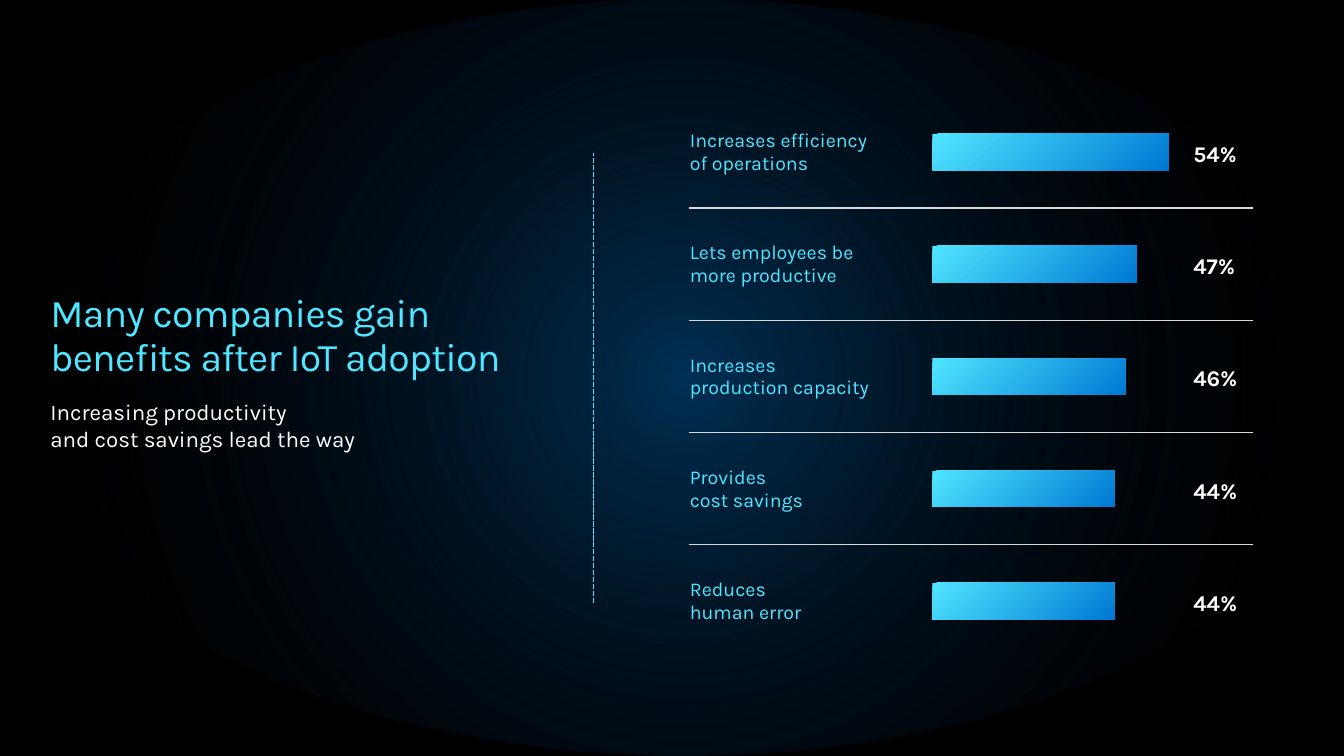
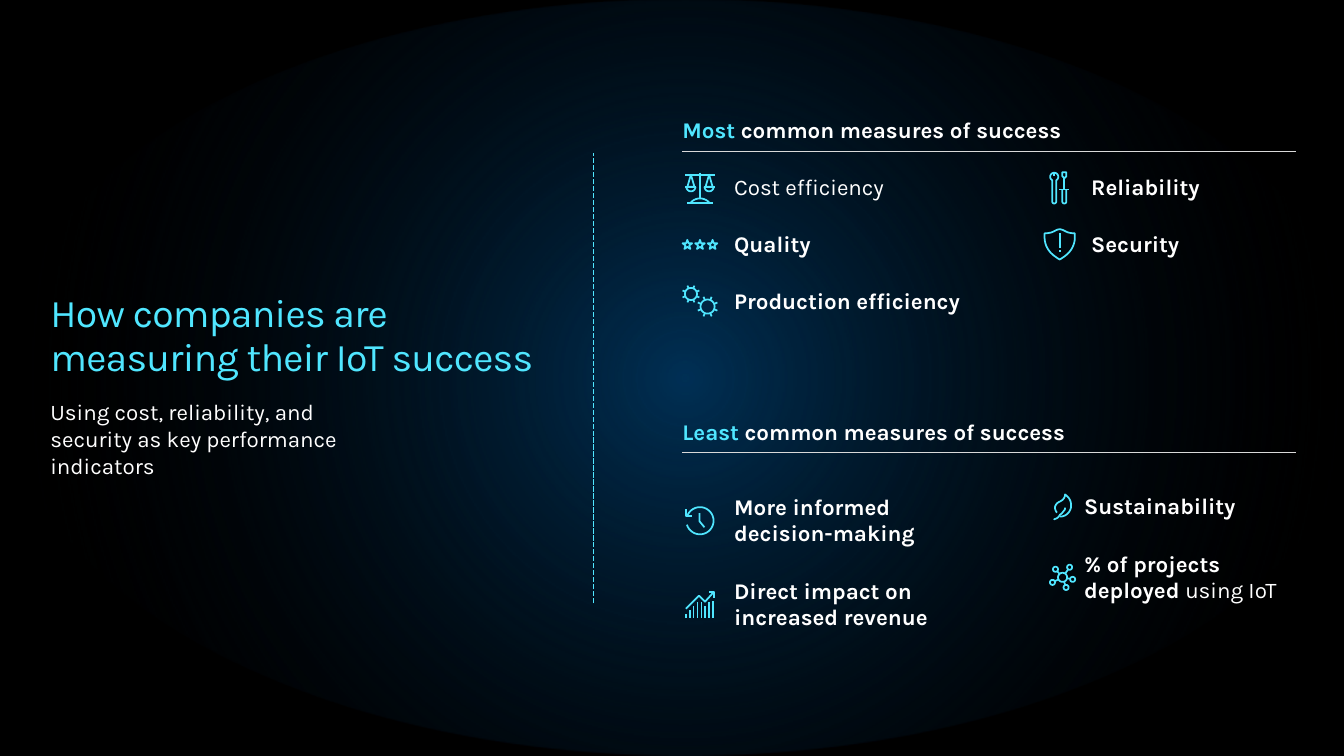
from copy import deepcopy
from math import atan2, cos, radians, sin

from lxml.etree import SubElement
from pptx import Presentation
from pptx.dml.color import RGBColor
from pptx.enum.dml import MSO_LINE
from pptx.enum.shapes import MSO_CONNECTOR, MSO_SHAPE
from pptx.enum.text import MSO_ANCHOR, MSO_AUTO_SIZE, PP_ALIGN
from pptx.oxml.ns import qn
from pptx.util import Pt

COLORS = {"black": "000000", "glow": "003C6A", "cyan": "50E6FF", "blue": "0078D3",
          "white": "FFFFFF", "rule": "D9D9D9"}
FONT = "Karla"
WIDTH, HEIGHT = 960, 540
ONE_LINE, TWO_LINES = 40.4, 60
ICON_STEPS = 100
ICON_SCALE = Pt(0.72) / ICON_STEPS
NO_GRID_STYLE = "{2D5ABB26-0587-4C30-8999-92F81FD0307C}"


def rgb(tone):
    return RGBColor.from_string(COLORS[tone])


def style(run, tone, bold, size):
    run.font.name = FONT
    run.font.size = Pt(size)
    run.font.bold = bold
    run.font.color.rgb = rgb(tone)


def write(frame, text, tone="white", bold=False, size=16):
    paragraph = frame.paragraphs[0]
    paragraph.text = text
    for run in paragraph.runs:
        style(run, tone, bold, size)
    for line_break in paragraph._p.findall(qn("a:br")):
        line_break.append(deepcopy(paragraph.runs[0]._r.rPr))
    return paragraph


def extend(paragraph, text, tone="white", bold=False, size=16):
    run = paragraph.add_run()
    run.text = text
    style(run, tone, bold, size)


def set_margins(area, left=0, top=0, right=0, bottom=0):
    area.margin_left, area.margin_top = Pt(left), Pt(top)
    area.margin_right, area.margin_bottom = Pt(right), Pt(bottom)


def text_area(slide, left, top, width, height, anchor=MSO_ANCHOR.TOP):
    frame = slide.shapes.add_textbox(Pt(left), Pt(top), Pt(width), Pt(height)).text_frame
    frame.word_wrap = True
    frame.vertical_anchor = anchor
    set_margins(frame)
    return frame


def space_out(paragraph):
    paragraph.line_spacing = 1.1
    paragraph.space_after = Pt(3)


def gradient_shape(slide, kind, left, top, width, height, tones, last_stop=1.0):
    shape = slide.shapes.add_shape(kind, Pt(left), Pt(top), Pt(width), Pt(height))
    shape.shadow.inherit = False
    shape.line.fill.background()
    shape.fill.gradient()
    shape.fill.gradient_angle = 315
    for stop, tone, position in zip(shape.fill.gradient_stops, tones, (0, last_stop)):
        stop.color.rgb = rgb(tone)
        stop.position = position
    return shape


def rule(slide, start, end, tone, weight, dash=None):
    line = slide.shapes.add_connector(MSO_CONNECTOR.STRAIGHT, *map(Pt, start + end))
    line.line.color.rgb = rgb(tone)
    line.line.width = Pt(weight)
    if dash:
        line.line.dash_style = dash
    SubElement(line._element.spPr, qn("a:effectLst"))


def plain_table(slide, left, top, widths, heights):
    table = slide.shapes.add_table(len(heights), len(widths), Pt(left), Pt(top),
                                   Pt(sum(widths)), Pt(sum(heights))).table
    table._tbl.tblPr.find(qn("a:tableStyleId")).text = NO_GRID_STYLE
    table.first_row = table.horz_banding = False
    for column, width in zip(table.columns, widths):
        column.width = Pt(width)
    for row, height in zip(table.rows, heights):
        row.height = Pt(height)
    for cell in table.iter_cells():
        cell.fill.background()
        cell.vertical_anchor = MSO_ANCHOR.MIDDLE
    return table


def underline(cell, tone, weight):
    properties = cell._tc.get_or_add_tcPr()
    border = properties.makeelement(qn("a:lnB"), {"w": str(Pt(weight))})
    properties.insert(0, border)
    SubElement(SubElement(border, qn("a:solidFill")), qn("a:srgbClr"), val=COLORS[tone])


def arc(x, y, radius, start=0, end=360, steps=32):
    angles = [radians(start + (end - start) * i / steps) for i in range(steps + 1)]
    return [(x + radius * cos(a), y + radius * sin(a)) for a in angles]


def spoke(x, y, angle, inner, outer):
    return [(x + r * cos(angle), y + r * sin(angle)) for r in (inner, outer)]


def bezier(*points, steps=10):
    curve = [points[0]]
    for i in range(0, len(points) - 1, 3):
        for t in (step / steps for step in range(1, steps + 1)):
            weights = ((1 - t) ** 3, 3 * t * (1 - t) ** 2, 3 * t * t * (1 - t), t ** 3)
            curve.append(tuple(sum(w * p[axis] for w, p in zip(weights, points[i:i + 4]))
                               for axis in (0, 1)))
    return curve


def scales_icon():
    strokes = [[(0, 2), (29, 2)], [(14.5, 0), (14.5, 26)], [(2, 30), (27, 30)],
               bezier((24, 30), (19, 24), (10, 24), (5, 30))]
    for x in (5.5, 23.5):
        strokes += [[(x - 5.5, 14), (x + 5.5, 14)], arc(x, 14, 4.5, 180, 0),
                    [(x, 2), (x - 3.5, 14), (x + 3.5, 14), (x, 2)]]
    return strokes


def stars_icon():
    return [[arc(x, 5, 2 if i % 2 else 5, i * 36 - 90, 0, 1)[0] for i in range(11)]
            for x in (5, 17.5, 30)]


def gears_icon():
    strokes = []
    for x, y, radius, tip in ((8.5, 8, 6, 9), (25, 20.5, 7, 10.5)):
        strokes.append(arc(x, y, radius))
        strokes += [spoke(x, y, radians(22.5 + 45 * i), radius, tip) for i in range(8)]
    return strokes


def tools_icon():
    wrench = arc(4, 4.5, 4, 60, -240) + arc(4, 29, 2, 180, 0) + arc(4, 4.5, 4, 60, 60, 1)
    handle = [(12, 17)] + arc(14, 29, 2, 180, 0) + [(16, 17)]
    tip = [(16, 0), (12, 0), (12, 4), (14, 6), (16, 4), (16, 0)]
    return [wrench, handle, tip, [(4, 0), (4, 4)], [(9, 17), (19, 17)], [(14, 17), (14, 6)]]


def shield_icon():
    half = bezier((15, 0), (18, 0), (20, 2), (23, 3), (26, 4), (30, 4), (30, 4), (30, 4),
                  (30, 9), (30, 9), (30, 9), (30, 16), (25, 22), (22, 26), (15, 30), (15, 30))
    mirrored = [(30 - x, y) for x, y in reversed(half)]
    return [half + mirrored, [(15, 4), (15, 19)], [(15, 21), (15, 23)]]


def history_icon():
    return [[(18, 20), (13, 14), (13, 6)], [(0, 2), (0, 9), (6, 9)],
            arc(13.5, 13.5, 13.5, 163, -162)]


def growth_icon():
    tops = (22, 18, 14, 10, 10, 14, 10, 9)
    columns = [[(i * 3.85, 26), (i * 3.85, top)] for i, top in enumerate(tops)]
    return columns + [[(28, 0), (19, 10), (13, 4), (0, 17)], [(28, 6), (28, 0), (23, 0)]]


def leaf_icon():
    blade = bezier((3, 18), (2, 17), (1, 15), (1, 13), (1, 11), (3, 8), (6, 7), (10, 5),
                   (11, 2), (11, 0), (15, 3), (17, 6), (17, 11), (17, 17), (12, 22), (6, 22))
    stem = bezier((0, 25), (0, 25), (1, 24), (2, 24), (4, 23), (5, 22), (6, 20), (8, 19),
                  (9, 17), (10, 16), (11, 15), (11, 14), (11, 13))
    return [blade, stem]


def network_icon():
    hub, strokes = 12.5, [arc(12.5, 12.5, 4.5)]
    for x, y in ((19.5, 2.5), (5.5, 4.5), (2.5, 17.5), (16, 22.5), (22.5, 14.5)):
        dx, dy = x - hub, y - hub
        reach = (dx * dx + dy * dy) ** 0.5 - 2.5
        strokes += [arc(x, y, 2.5), spoke(hub, hub, atan2(dy, dx), 4.5, reach)]
    return strokes


def draw_icon(slide, strokes, center_x, center_y):
    xs, ys = zip(*(point for stroke in strokes for point in stroke))
    middle_x, middle_y = (min(xs) + max(xs)) / 2, (min(ys) + max(ys)) / 2
    paths = [[((x - middle_x) * ICON_STEPS, (y - middle_y) * ICON_STEPS) for x, y in stroke]
             for stroke in strokes]
    builder = slide.shapes.build_freeform(*paths[0][0], scale=ICON_SCALE)
    for i, path in enumerate(paths):
        if i:
            builder.move_to(*path[0])
        builder.add_line_segments(path[1:], close=False)
    outline = builder.convert_to_shape(Pt(center_x), Pt(center_y))
    outline.shadow.inherit = False
    outline.fill.background()
    outline.line.color.rgb = rgb("cyan")
    outline.line.width = Pt(1.25)


def glow(slide):
    ellipse = gradient_shape(slide, MSO_SHAPE.OVAL, 0, 0, 979, HEIGHT, ("glow", "black"), 0.9)
    fill = ellipse._element.spPr.find(qn("a:gradFill"))
    for color, alpha in zip(fill.iter(qn("a:srgbClr")), ("80000", "0")):
        SubElement(color, qn("a:alpha"), val=alpha)
    fill.remove(fill.find(qn("a:lin")))
    center = SubElement(fill, qn("a:path"), path="circle")
    SubElement(center, qn("a:fillToRect"), l="50000", t="50000", r="50000", b="50000")
    slide.shapes._spTree.insert(2, ellipse._element)


def start_slide(prs, heading, summary, left=36, top=208):
    slide = prs.slides.add_slide(prs.slide_layouts[5])
    glow(slide)
    title = slide.shapes.title
    title.left, title.top, title.width, title.height = map(Pt, (left, top, 352, 63))
    frame = title.text_frame
    frame.auto_size = MSO_AUTO_SIZE.NONE
    frame.vertical_anchor = MSO_ANCHOR.TOP
    frame.word_wrap = True
    set_margins(frame)
    paragraph = write(frame, heading, "cyan", size=28)
    paragraph.alignment = PP_ALIGN.LEFT
    paragraph.line_spacing = Pt(31.4)
    for run in paragraph.runs:
        run._r.rPr.set("spc", "-50")
    write(text_area(slide, left, top + 76.4, 249, 39), summary)
    rule(slide, (424, 431), (424, 109), "cyan", 1.25, MSO_LINE.SQUARE_DOT)
    return slide


def benefit_bars(slide, left, top, row_height, benefits):
    table = plain_table(slide, left, top, (154.8, 248.4), [row_height] * len(benefits))
    bar_height = 26
    for i, (benefit, share, bar_width) in enumerate(benefits):
        label = table.cell(i, 0)
        set_margins(label, 0.72, 0.72, 0.72)
        write(label.text_frame, benefit, "cyan", size=14)
        if i < len(benefits) - 1:
            for cell in table.rows[i].cells:
                underline(cell, "rule", 1)
        bar_top = top + i * row_height + (row_height - bar_height) / 2
        gradient_shape(slide, MSO_SHAPE.RECTANGLE, left + 174, bar_top, bar_width, bar_height,
                       ("cyan", "blue"))
        value = text_area(slide, left + 360.5, bar_top, 42, bar_height, MSO_ANCHOR.MIDDLE)
        space_out(write(value, share, bold=True))


def section_heading(slide, left, top, rank):
    heading = write(text_area(slide, left, top, 304, 20), rank, "cyan", True)
    extend(heading, "common measures of success", bold=True)
    space_out(heading)
    rule(slide, (left, top + 27), (left + 438.5, top + 27), "rule", 0.75)


def measure_list(slide, left, top, icon_offset, measures):
    heights = [height for _, _, _, height, _ in measures]
    table = plain_table(slide, left, top, (229,), heights)
    for i, (strokes, measure, bold, height, tail) in enumerate(measures):
        cell = table.cell(i, 0)
        set_margins(cell, 50.4, 10.8, 10.8, 10.8)
        paragraph = write(cell.text_frame, measure, bold=bold)
        if tail:
            extend(paragraph, tail)
        draw_icon(slide, strokes, left + icon_offset, top + sum(heights[:i]) + height / 2)


def main():
    prs = Presentation()
    prs.slide_width, prs.slide_height = Pt(WIDTH), Pt(HEIGHT)
    backdrop = prs.slide_master.background.fill
    backdrop.solid()
    backdrop.fore_color.rgb = rgb("black")

    benefits = start_slide(prs, "Many companies gain benefits after IoT adoption",
                           "Increasing productivity\nand cost savings lead the way")
    benefit_bars(benefits, 492, 68.4, 80.2, (
        ("Increases efficiency\nof operations", "54%", 169),
        ("Lets employees be more productive", "47%", 146),
        ("Increases\nproduction capacity", "46%", 138),
        ("Provides\ncost savings", "44%", 130),
        ("Reduces\nhuman error", "44%", 130)))

    success = start_slide(prs, "How companies are measuring their IoT success",
                          "Using cost, reliability, and security as key performance indicators")
    section_heading(success, 487.5, 81, "Most ")
    measure_list(success, 474, 114, 26, (
        (scales_icon(), "Cost efficiency", False, ONE_LINE, ""),
        (stars_icon(), "Quality", True, ONE_LINE, ""),
        (gears_icon(), "Production efficiency", True, ONE_LINE, "")))
    measure_list(success, 729, 114, 28, (
        (tools_icon(), "Reliability", True, ONE_LINE, ""),
        (shield_icon(), "Security", True, ONE_LINE, "")))
    section_heading(success, 487.5, 296.5, "Least ")
    measure_list(success, 474, 342, 26, (
        (history_icon(), "More informed decision-making", True, TWO_LINES, ""),
        (growth_icon(), "Direct impact on increased revenue", True, TWO_LINES, "")))
    measure_list(success, 724, 342, 35, (
        (leaf_icon(), "Sustainability", True, ONE_LINE, ""),
        (network_icon(), "% of projects\ndeployed ", True, TWO_LINES, "using IoT")))
    prs.save("out.pptx")


if __name__ == "__main__":
    main()
